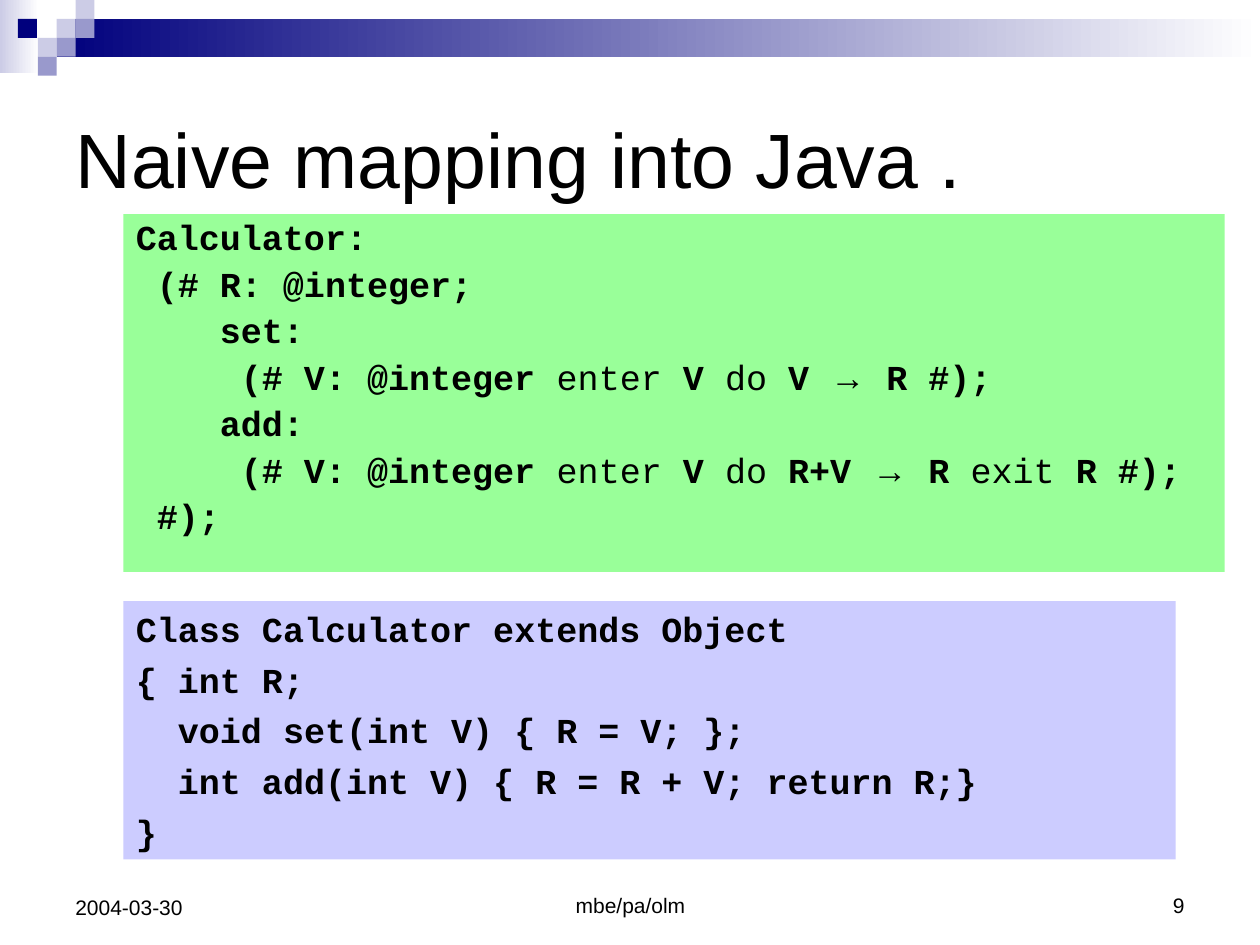
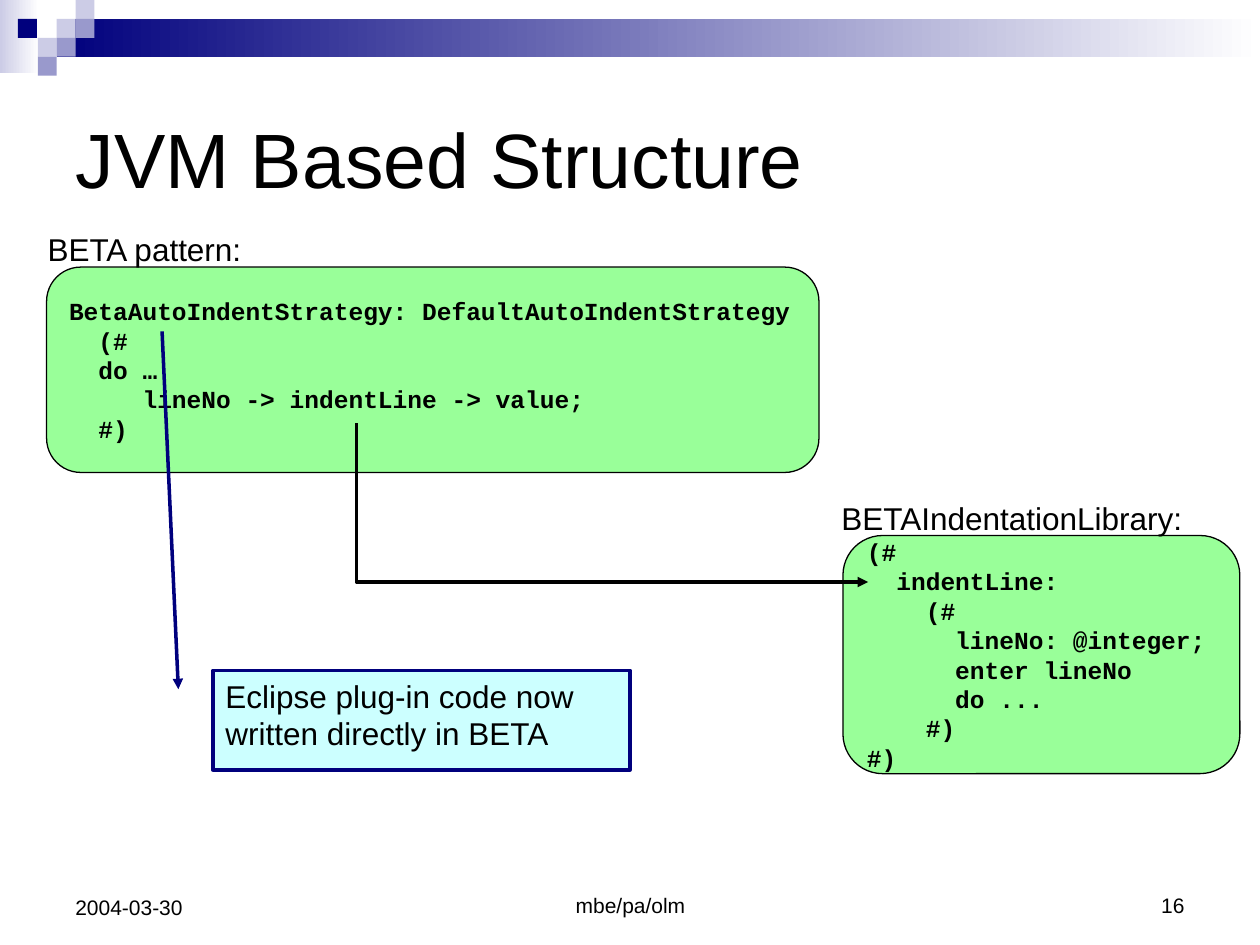
from lxml.etree import SubElement
from pptx import Presentation
from pptx.dml.color import RGBColor
from pptx.enum.shapes import MSO_CONNECTOR as Link, MSO_SHAPE as Kind
from pptx.enum.text import MSO_ANCHOR as Anchor, MSO_AUTO_SIZE as Auto, PP_ALIGN as Align
from pptx.oxml.ns import qn
from pptx.util import Inches, Pt

# ---- Content: "|" sets off a word in another style ----
BETA = [
    "Calculator:",
    " (# R: @integer;",
    "    set:",
    "     (# V: @integer |enter| V |do| V |→| R #);",
    "    add:",
    "     (# V: @integer |enter| V |do| R+V |→| R |exit| R #);",
    " #);",
]
JAVA = [
    "Class Calculator extends Object",
    "{ int R;",
    "  void set(int V) { R = V; };",
    "  int add(int V) { R = R + V; return R;}",
    "}",
]
INDENT = [
    "BetaAutoIndentStrategy: DefaultAutoIndentStrategy",
    "  (#",
    "  do …",
    "     lineNo -> indentLine -> value;",
    "  #)",
]
LIBRARY = [
    "(#",
    "  indentLine:",
    "    (#",
    "      lineNo: @integer;",
    "      enter lineNo",
    "      do ...",
    "    #)",
    "#)",
]
NOTE = ["Eclipse plug-in code now written directly in BETA"]

# ---- Shared look; the slide is a grid of 100 columns by 75 rows ----
COLS, ROWS, TILE = 100, 75, 1.5
HUES = {
    "ink": "000000", "navy": "00007D", "pale": "CCCCE6", "mid": "9999CC",
    "white": "FFFFFF", "green": "99FF99", "lilac": "CCCCFF", "aqua": "CCFFFF",
}
FONTS = {
    "title": {"name": "Arial", "size": Pt(44), "bold": False},
    "label": {"name": "Arial", "size": Pt(18), "bold": False},
    "foot": {"name": "Arial", "size": Pt(12), "bold": False},
    "code": {"name": "Courier New", "size": Pt(20), "bold": True},
    "small": {"name": "Courier New", "size": Pt(14), "bold": True},
}
LIGHT, ARROW = {"bold": False}, {"name": "Arial"}
BANDS = [((0, 0, 3.1, 5.8), "pale"), ((4.5, 1.5, 95.5, 3), "navy")]
TILES = [(3, 1, "pale"), (4, 0, "pale"), (4, 1, "mid"), (2, 2, "pale"),
         (0.95, 1, "navy"), (3, 2, "mid"), (2, 3, "mid")]
TITLE = (5, 5, 90, 15)
FOOT = [((34.2, 68.3, 31.7, 5), Align.CENTER), ((71.7, 68.3, 23.3, 5), Align.RIGHT),
        ((5, 68.3, 23.3, 5.2), Align.LEFT)]

deck = Presentation()
deck.slide_width, deck.slide_height = Inches(10), Inches(7.5)
CELL = deck.slide_width / COLS


def grid(*cells):
    return [round(c * CELL) for c in cells]


def rgb(hue):
    return RGBColor.from_string(HUES[hue])


def style(font, *sets):
    font.color.rgb = rgb("ink")
    for each in sets:
        for key, val in each.items():
            setattr(font, key, val)


def write(shape, lines, look, align=Align.LEFT, anchor=Anchor.TOP, wrap=True,
          gap=0, lead=None, hang=0):
    frame = shape.text_frame
    frame.auto_size, frame.word_wrap = Auto.NONE, wrap
    frame.vertical_anchor = anchor
    for row, line in enumerate(lines):
        para = frame.add_paragraph() if row else frame.paragraphs[0]
        para.alignment, para.line_spacing = align, lead
        para.space_before = Pt(gap if row else 0)
        if hang:
            para._p.get_or_add_pPr().set("marL", str(Inches(hang)))
            para._p.get_or_add_pPr().set("indent", str(-Inches(hang)))
        for turn, part in enumerate(line.split("|")):
            run = para.add_run()
            run.text = part
            extra = ARROW if part == "→" else LIGHT if turn % 2 else {}
            style(run.font, FONTS[look], extra)


def block(slide, at, hue, kind=Kind.RECTANGLE, edge=None, width=0.75):
    shape = slide.shapes.add_shape(kind, *grid(*at))
    shape.shadow.inherit = False
    shape.fill.solid()
    shape.fill.fore_color.rgb = rgb(hue)
    if edge:
        shape.line.color.rgb, shape.line.width = rgb(edge), Pt(width)
    else:
        shape.line.fill.background()
    return shape


def label(slide, at, text, look, **opts):
    write(slide.shapes.add_textbox(*grid(*at)), [text], look, **opts)


def tip(shape, end):
    SubElement(shape.line._get_or_add_ln(), qn("a:" + end), type="triangle")


def elbow(slide, start, end):
    """Arrow that runs down, then right: a turned and flipped one-bend link."""
    (x1, y1), (x2, y2) = start, end
    midx, midy = (x1 + x2) / 2, (y1 + y2) / 2
    dx, dy = (y2 - y1) / 2, (x2 - x1) / 2
    link = slide.shapes.add_connector(
        Link.ELBOW, *grid(midx + dx, midy - dy, midx - dx, midy + dy))
    link.rotation = 270
    props = link._element.spPr
    props.find(qn("a:prstGeom")).set("prst", "bentConnector2")
    link.line.color.rgb, link.line.width = rgb("ink"), Pt(2)
    tip(link, "tailEnd")
    SubElement(props, qn("a:effectLst"))


def page(title, number):
    slide = deck.slides.add_slide(deck.slide_layouts[5])
    # Top bands and tiles
    for at, hue in BANDS:
        fill = block(slide, at, hue).fill
        fill.gradient()
        fill.gradient_angle = 180
        for stop, tone in zip(fill.gradient_stops, ("white", hue)):
            stop.color.rgb = rgb(tone)
    for col, row, hue in TILES:
        block(slide, (col * TILE, row * TILE, TILE, TILE), hue)
    # Title and footer
    head = slide.shapes.title
    head.left, head.top, head.width, head.height = grid(*TITLE)
    write(head, [title], "title", anchor=Anchor.MIDDLE)
    for (at, align), text in zip(FOOT, ("mbe/pa/olm", number, "2004-03-30")):
        label(slide, at, text, "foot", align=align, anchor=Anchor.BOTTOM)
    return slide


# ---- Naive mapping: two code panels ----
slide = page("Naive mapping into Java .", "9")
for at, hue, lines, lead in [((9.8, 17, 87.4, 28.4), "green", BETA, 0.9),
                             ((9.8, 47.7, 83.5, 20.5), "lilac", JAVA, None)]:
    write(block(slide, at, hue), lines, "code", gap=5, lead=lead, hang=0.38)

# ---- JVM structure: two labelled code boxes, a link and a callout ----
slide = page("JVM Based Structure", "16")
for at, kind, lines, spot, name in [
    ((3.7, 21.2, 61.3, 16.3), Kind.FLOWCHART_ALTERNATE_PROCESS, INDENT,
     (2.8, 17.8, 17.7, 4), "BETA pattern:"),
    ((66.9, 42.5, 31.5, 18.9), Kind.ROUNDED_RECTANGLE, LIBRARY,
     (65.8, 39.1, 29.2, 4), "BETAIndentationLibrary:"),
]:
    box = block(slide, at, "green", kind, "ink")
    write(box, lines, "small", anchor=Anchor.MIDDLE, wrap=False)
    label(slide, spot, name, "label", wrap=False)
elbow(slide, (28.3, 33.6), (68.9, 46.2))

x, y, w, h = NOTEBOX = (16.9, 53.2, 33.1, 7.9)
HEAD, TAIL = (14.15, 54.7), (12.86, 26.3)
call = block(slide, NOTEBOX, "aqua", Kind.LINE_CALLOUT_1, "navy", 2)
for spot, (px, py) in enumerate((HEAD, TAIL)):
    call.adjustments[2 * spot] = (py - y) / h
    call.adjustments[2 * spot + 1] = (px - x) / w
tip(call, "headEnd")
write(call, NOTE, "label")

deck.save("out.pptx")
